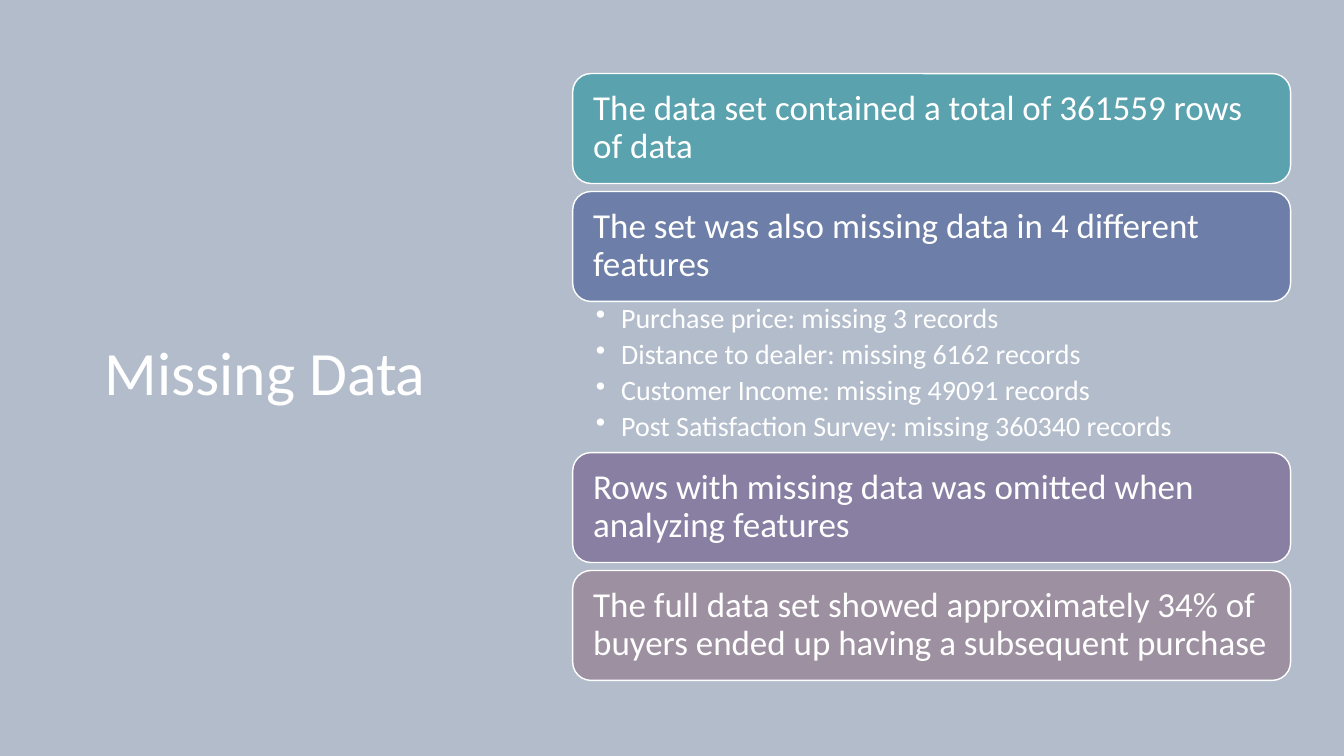
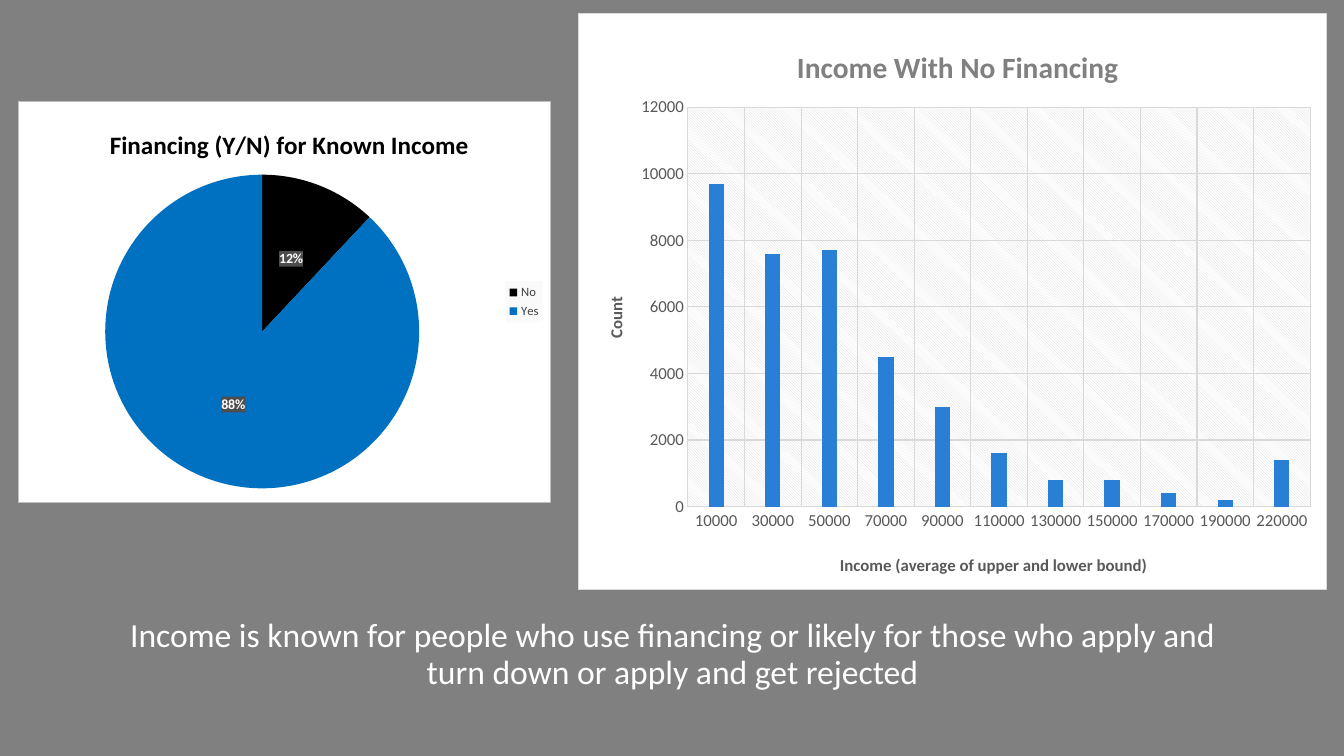
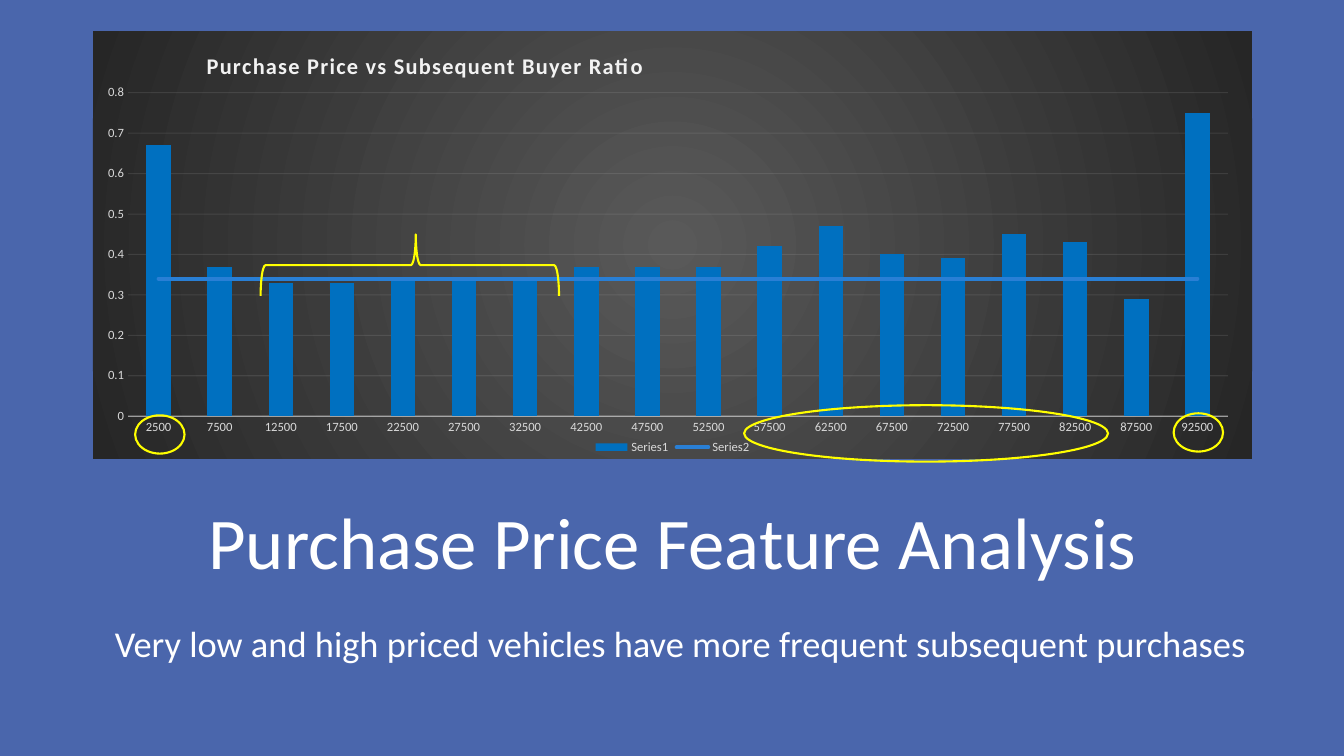
from pptx import Presentation
from pptx.chart.data import CategoryChartData
from pptx.dml.color import RGBColor
from pptx.enum.chart import (XL_CHART_TYPE, XL_LABEL_POSITION, XL_LEGEND_POSITION,
                             XL_MARKER_STYLE, XL_TICK_MARK)
from pptx.enum.dml import MSO_PATTERN
from pptx.enum.shapes import MSO_SHAPE
from pptx.enum.text import MSO_ANCHOR, MSO_AUTO_SIZE, PP_ALIGN
from pptx.oxml import parse_xml
from pptx.oxml.ns import nsdecls, qn
from pptx.util import Inches, Pt

FONT = "Calibri"
COLORS = {
    "white": "FFFFFF", "black": "000000", "mist": "B2BCCB", "gray": "808080",
    "royal": "4A66AC", "teal": "5AA2AE", "slate": "6D7FA8", "plum": "887FA3",
    "mauve": "9D90A0", "blue": "0070C0", "sky": "297FD5", "yellow": "FFFF00",
    "text": "595959", "ink": "404040", "tag": "4D4D4D", "grid": "D9D9D9",
    "edge": "BFBFBF", "pale": "F2F2F2", "night": "262626", "haze": "FAFAFA",
}


def color(name):
    return RGBColor.from_string(COLORS[name])


def style(font, size, tint="white", bold=False):
    font.name, font.size, font.bold = FONT, Pt(size), bold
    font.color.rgb = color(tint)


def write(frame, text, size=18, tint="white", bold=False, align=PP_ALIGN.LEFT,
          anchor=None, inset=None, after=0, space=0.9, bullet=False, track=0):
    if anchor is not None:
        frame.word_wrap = True
        frame.auto_size = MSO_AUTO_SIZE.NONE
        frame.vertical_anchor = anchor
    if inset:
        (frame.margin_left, frame.margin_top,
         frame.margin_right, frame.margin_bottom) = map(Inches, inset)
    lines = [text] if isinstance(text, str) else text
    for i, line in enumerate(lines):
        para = frame.paragraphs[0] if i == 0 else frame.add_paragraph()
        para.alignment, para.line_spacing = align, space
        para.space_before, para.space_after = Pt(0), Pt(after)
        run = para.add_run()
        run.text = line
        style(run.font, size, tint, bold)
        if track:
            run._r.get_or_add_rPr().set("spc", str(track * 100))
        if bullet:
            props = para._p.get_or_add_pPr()
            props.set("marL", str(Inches(0.25)))
            props.set("indent", str(-Inches(0.25)))
            props.append(parse_xml(f'<a:buChar {nsdecls("a")} char="•"/>'))


def stroke(line, tint, width, alpha=None):
    line.color.rgb = color(tint)
    line.width = Pt(width)
    if alpha:
        for node in line._ln.iter(qn("a:srgbClr")):
            node.append(parse_xml(f'<a:alpha {nsdecls("a")} val="{alpha * 1000}"/>'))


def draw(slide, kind, box, line, width, fill=None):
    shape = slide.shapes.add_shape(kind, *map(Inches, box))
    shape.shadow.inherit = False
    if fill:
        shape.fill.solid()
        shape.fill.fore_color.rgb = color(fill)
    else:
        shape.fill.background()
    stroke(shape.line, line, width)
    return shape


def start(deck, back, title, box, **look):
    slide = deck.slides.add_slide(deck.slide_layouts[5])
    slide.background.fill.solid()
    slide.background.fill.fore_color.rgb = color(back)
    head = slide.shapes.title
    head.left, head.top, head.width, head.height = map(Inches, box)
    write(head.text_frame, title, **look)
    return slide


def layout(box, spot, inner=False):
    target = '<c:layoutTarget val="inner"/>' if inner else ""
    parts = "".join(
        f'<c:{key} val="{value / box[2 + i % 2]:.4f}"/>'
        for i, (key, value) in enumerate(zip("xywh", spot)))
    return parse_xml(
        f'<c:layout {nsdecls("c")}><c:manualLayout>{target}'
        f'<c:xMode val="edge"/><c:yMode val="edge"/>{parts}'
        f'</c:manualLayout></c:layout>')


def caption(title, text, box, spot, **look):
    write(title.text_frame, text, bold=True, space=1.0, **look)
    node = title.element
    for old in node.findall(qn("c:layout")):
        node.remove(old)
    node.find(qn("c:tx")).addnext(layout(box, spot))


def solid(name):
    return f'<a:solidFill><a:srgbClr val="{COLORS[name]}"/></a:solidFill>'


def paint(fill, edge=None):
    line = f'<a:ln w="9525">{solid(edge)}</a:ln>' if edge else "<a:ln><a:noFill/></a:ln>"
    return parse_xml(f'<c:spPr {nsdecls("c", "a")}>{fill}{line}</c:spPr>')


def glow(inner, outer):
    return (f'<a:gradFill><a:gsLst><a:gs pos="0"><a:srgbClr val="{COLORS[inner]}"/></a:gs>'
            f'<a:gs pos="100000"><a:srgbClr val="{COLORS[outer]}"/></a:gs></a:gsLst>'
            '<a:path path="circle"><a:fillToRect l="50000" t="50000" r="50000" b="50000"/>'
            '</a:path></a:gradFill>')


def plot(slide, kind, box, cats, series, area, fill, edge=None):
    data = CategoryChartData()
    data.categories = cats
    for name, values in series:
        data.add_series(name, values)
    chart = slide.shapes.add_chart(kind, *map(Inches, box), data).chart
    style(chart.font, 10)
    chart.has_legend = False
    chart.plots[0].vary_by_categories = kind == XL_CHART_TYPE.PIE
    root = chart.element
    body = root.find(qn("c:chart"))
    if root.find(qn("c:roundedCorners")) is None:
        body.addprevious(parse_xml(f'<c:roundedCorners {nsdecls("c")} val="0"/>'))
    body.addnext(paint(fill, edge))
    zone = body.find(qn("c:plotArea"))
    for old in zone.findall(qn("c:layout")):
        zone.remove(old)
    zone.insert(0, layout(box, area, inner=True))
    chart.has_title = True
    return chart


def scale(chart, top, step, size, tint):
    axes = chart.category_axis, chart.value_axis
    for axis in axes:
        axis.major_tick_mark = axis.minor_tick_mark = XL_TICK_MARK.NONE
        style(axis.tick_labels.font, size, tint)
    value = axes[1]
    value.minimum_scale, value.maximum_scale, value.major_unit = 0, top, step
    value.format.line.fill.background()
    value.has_major_gridlines = True
    value.tick_labels.number_format = "General"
    value.tick_labels.number_format_is_linked = False
    return axes


def tint(item, name):
    item.format.fill.solid()
    item.format.fill.fore_color.rgb = color(name)


def legend(chart, side, size, name):
    chart.has_legend = True
    chart.legend.position = side
    chart.legend.include_in_layout = False
    style(chart.legend.font, size, name)


def trend(chart):
    bars = chart.plots[0]._element
    last = bars.findall(qn("c:ser"))[-1]
    for old in last.findall(qn("c:invertIfNegative")):
        last.remove(old)
    ids = "".join(f'<c:axId val="{node.get("val")}"/>' for node in bars.findall(qn("c:axId")))
    lines = parse_xml(f'<c:lineChart {nsdecls("c")}><c:grouping val="standard"/>'
                      f'<c:varyColors val="0"/><c:marker val="1"/>{ids}</c:lineChart>')
    lines.insert(2, last)
    bars.addnext(lines)
    line = chart.plots[1].series[0]
    line.smooth = False
    line.marker.style = XL_MARKER_STYLE.NONE
    stroke(line.format.line, "sky", 2.75)
    line.format.line._ln.set("cap", "rnd")


def cards(slide, box, items, high=1.09, gap=0.08, drop=1.5):
    left, top, width = box
    for fill, text, points in items:
        card = draw(slide, MSO_SHAPE.ROUNDED_RECTANGLE, (left, top, width, high),
                    "white", 1, fill)
        write(card.text_frame, text, size=25, anchor=MSO_ANCHOR.MIDDLE, inset=[0.15] * 4)
        top += high
        if points:
            part = slide.shapes.add_textbox(*map(Inches, (left, top, width, drop)))
            write(part.text_frame, points, size=20, anchor=MSO_ANCHOR.TOP,
                  inset=(0.23, 0.03, 0.19, 0.03), after=4, bullet=True)
            top += drop
        else:
            top += gap


def missing(deck):
    slide = start(deck, "mist", "Missing Data", (0.94, 1.11, 3.74, 5.24),
                  size=44, anchor=MSO_ANCHOR.MIDDLE)
    cards(slide, (5.68, 0.73, 7.12), [
        ("teal", "The data set contained a total of 361559 rows of data", []),
        ("slate", "The set was also missing data in 4 different features", [
            "Purchase price: missing 3 records",
            "Distance to dealer: missing 6162 records",
            "Customer Income: missing 49091 records",
            "Post Satisfaction Survey: missing 360340 records"]),
        ("plum", "Rows with missing data was omitted when analyzing features", []),
        ("mauve", "The full data set showed approximately 34% of buyers ended up "
                  "having a subsequent purchase", []),
    ])


def income(slide, box):
    cats = [str(n) for n in (*range(10000, 200000, 20000), 220000)]
    counts = 9700, 7600, 7700, 4500, 3000, 1600, 800, 800, 400, 200, 1400
    chart = plot(slide, XL_CHART_TYPE.COLUMN_CLUSTERED, box, cats, [("Series 1", counts)],
                 (1.09, 0.93, 6.18, 3.97), solid("white"), "grid")
    caption(chart.chart_title, "Income With No Financing", box, (2.12, 0.28),
            size=21, tint="gray")
    across, up = scale(chart, 12000, 2000, 12, "text")
    across.has_major_gridlines = True
    stroke(across.format.line, "grid", 0.75)
    for axis, text, spot in ((across, "Income (average of upper and lower bound)", (2.57, 5.34)),
                             (up, "Count", (0.23, 2.78))):
        stroke(axis.major_gridlines.format.line, "grid", 0.75)
        axis.has_title = True
        caption(axis.axis_title, text, box, spot, size=12, tint="text")
    up.axis_title.text_frame._txBody.find(qn("a:bodyPr")).set("rot", "-5400000")
    bars = chart.plots[0]
    bars.gap_width, bars.overlap = 267, -43
    tint(bars.series[0], "sky")
    zone = chart.element.find(qn("c:chart")).find(qn("c:plotArea"))
    zone.append(paint(
        f'<a:pattFill prst="{MSO_PATTERN.to_xml(MSO_PATTERN.LIGHT_DOWNWARD_DIAGONAL)}">'
        f'<a:fgClr><a:srgbClr val="{COLORS["grid"]}"/></a:fgClr>'
        f'<a:bgClr><a:srgbClr val="{COLORS["white"]}"/></a:bgClr></a:pattFill>'))


def share(slide, box):
    chart = plot(slide, XL_CHART_TYPE.PIE, box, ["No", "Yes"], [("Series 1", (12, 88))],
                 (0.86, 0.73, 3.12, 3.12), solid("white"), "edge")
    caption(chart.chart_title, "Financing (Y/N) for Known Income", box, (0.86, 0.21),
            size=18, tint="black")
    legend(chart, XL_LEGEND_POSITION.RIGHT, 9, "ink")
    chart.legend._element.find(qn("c:txPr")).addprevious(paint(solid("haze")))
    pie = chart.plots[0]
    for i, name in enumerate(("black", "blue")):
        tint(pie.series[0].points[i], name)
    pie.has_data_labels = True
    tags = pie.data_labels
    tags.show_percentage, tags.show_value = True, False
    tags.number_format, tags.number_format_is_linked = "0%", False
    tags.position = XL_LABEL_POSITION.CENTER
    style(tags.font, 10, bold=True)
    tags._element.find(qn("c:txPr")).addprevious(paint(solid("tag")))


def finance(deck):
    slide = start(deck, "gray", "Income is known for people who use financing or likely for "
                  "those who apply and turn down or apply and get rejected",
                  (0.92, 6.05, 11.5, 0.9), size=24, align=PP_ALIGN.CENTER,
                  anchor=MSO_ANCHOR.MIDDLE)
    income(slide, (5.73, 0.13, 7.43, 5.72))
    share(slide, (0.18, 1, 5.29, 3.99))


def ratio(slide, box):
    cats = [str(n) for n in range(2500, 95000, 5000) if n != 37500]
    rates = (0.67, 0.37, 0.33, 0.33, 0.34, 0.34, 0.34, 0.37, 0.37, 0.37,
             0.42, 0.47, 0.4, 0.39, 0.45, 0.43, 0.29, 0.75)
    chart = plot(slide, XL_CHART_TYPE.COLUMN_CLUSTERED, box, cats,
                 [("Series1", rates), ("Series2", [0.34] * len(cats))],
                 (0.35, 0.61, 10.91, 3.21), glow("text", "night"))
    caption(chart.chart_title, "Purchase Price vs Subsequent Buyer Ratio", box, (1.09, 0.15),
            size=16, tint="pale", track=1)
    across, up = scale(chart, 0.8, 0.1, 9, "grid")
    stroke(across.format.line, "pale", 1, 54)
    stroke(up.major_gridlines.format.line, "pale", 0.75, 10)
    legend(chart, XL_LEGEND_POSITION.BOTTOM, 9, "grid")
    chart.plots[0].gap_width = 150
    tint(chart.plots[0].series[0], "blue")
    trend(chart)


def price(deck):
    slide = start(deck, "royal", "Purchase Price Feature Analysis", (0.92, 4.67, 11.5, 1.19),
                  size=52, align=PP_ALIGN.CENTER, anchor=MSO_ANCHOR.BOTTOM)
    note = slide.shapes.add_textbox(*map(Inches, (1.04, 6.03, 11.5, 0.75)))
    write(note.text_frame, "Very low and high priced vehicles have more frequent "
          "subsequent purchases", size=26, anchor=MSO_ANCHOR.MIDDLE, after=6)
    ratio(slide, (0.92, 0.31, 11.5, 4.24))
    for ring in ((7.38, 4.02, 3.61, 0.56), (11.64, 4.1, 0.49, 0.38), (1.34, 4.12, 0.49, 0.38)):
        draw(slide, MSO_SHAPE.OVAL, ring, "yellow", 1.5)
    brace = draw(slide, MSO_SHAPE.RIGHT_BRACE, (3.76, 1.15, 0.61, 2.96), "yellow", 1.5)
    brace.rotation = 270
    brace.adjustments[0], brace.adjustments[1] = 0.08, 0.52


def main():
    deck = Presentation()
    deck.slide_width, deck.slide_height = Inches(13.33), Inches(7.5)
    for build in (missing, finance, price):
        build(deck)
    deck.save("out.pptx")


if __name__ == "__main__":
    main()
